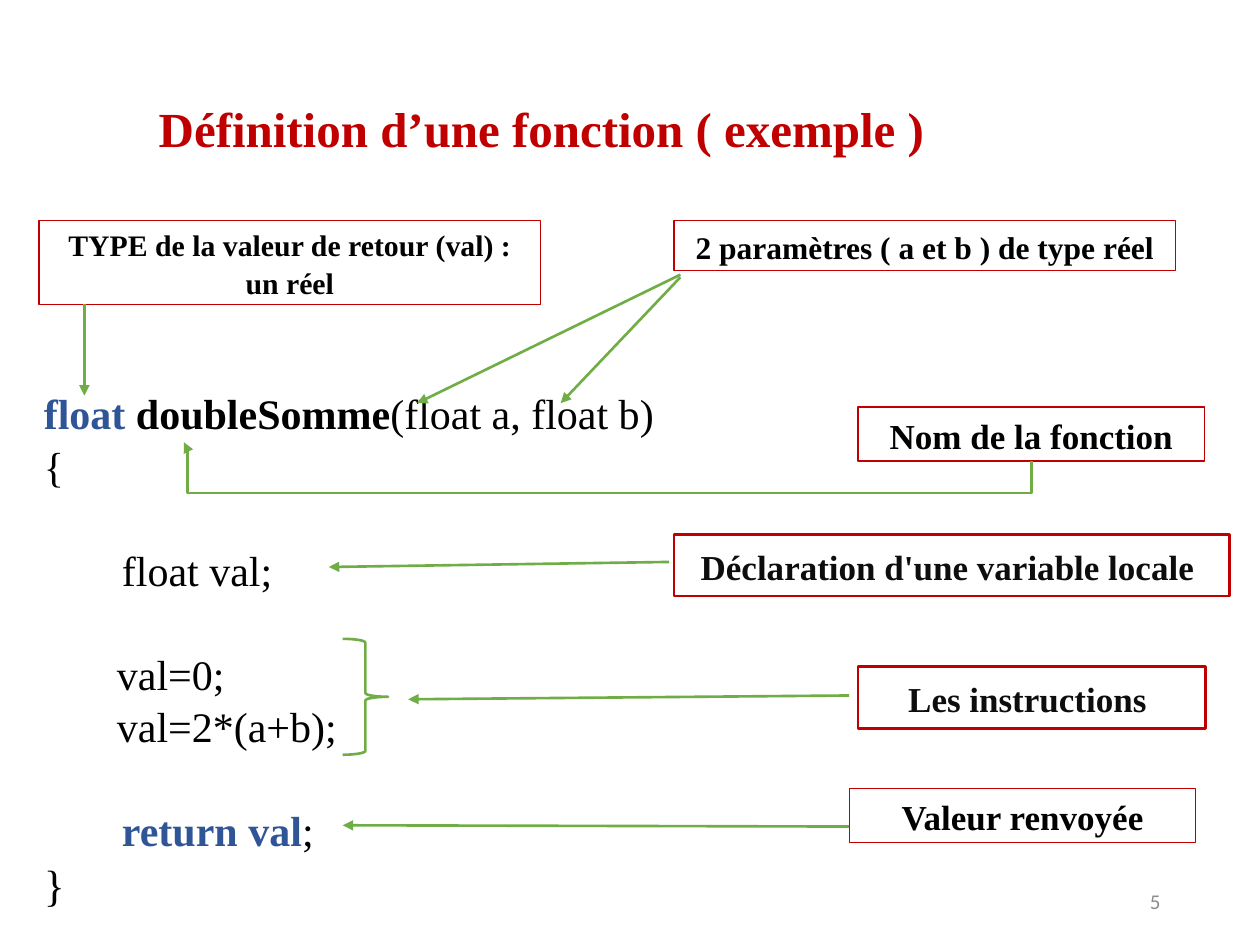
from lxml import etree
from pptx import Presentation
from pptx import util as u
from pptx.dml.color import RGBColor
from pptx.enum import shapes, text
from pptx.oxml.ns import qn

RED, GREEN, BLUE = "C00000", "70AD47", "2F5597"
BLACK, INK, GREY, WHITE = "000000", "0D0D0D", "8C8C8C", "FFFFFF"
SERIF = "Times New Roman"
LINE_SPACING = 1.05
BLANK_LINE = 29  # points, one empty code line

TITLE = "Définition d’une fonction ( exemple )"

# Code lines: indent (inches), space before (points), size, runs (text, colour, bold)
CODE = [
    (0, 0, 24, [("float ", BLUE, True), ("doubleSomme", BLACK, True),
                ("(float a, float b)", BLACK, False)]),
    (0, 0, 24, [("{", BLACK, False)]),
    (0.62, BLANK_LINE, 24, [("float val;", BLACK, False)]),
    (0.58, BLANK_LINE, 24, [("val=0;", BLACK, False)]),
    (0.58, 0, 24, [("val=2*(a+b);", BLACK, False)]),
    (0.62, BLANK_LINE, 24, [("return val", BLUE, True), (";", BLACK, False)]),
    (0, 0, 25, [("}", BLACK, False)]),
]

# Labels: text, (left, top, width, height), size, colour, border width
LABELS = [
    ("TYPE de la valeur de retour (val) : un réel", (0.31, 1.75, 3.98, 0.67), 17, BLACK, 0.75),
    ("2 paramètres ( a et b ) de type réel", (5.35, 1.75, 3.98, 0.4), 18, BLACK, 0.75),
    ("Nom de la fonction", (6.81, 3.23, 2.75, 0.43), 20, BLACK, 0.75),
    ("Déclaration d'une variable locale ", (5.35, 4.24, 4.41, 0.49), 20, INK, 1.5),
    ("Les instructions ", (6.81, 5.29, 2.76, 0.49), 20, INK, 1.5),
    ("Valeur renvoyée", (6.74, 6.26, 2.75, 0.43), 20, BLACK, 0.75),
]

# Straight arrows: from, to
ARROWS = [
    ((0.67, 2.41), (0.67, 3.14)),
    ((5.4, 2.18), (3.31, 3.2)),
    ((5.4, 2.2), (4.45, 3.2)),
    ((5.31, 4.46), (2.61, 4.5)),
    ((6.74, 5.52), (3.24, 5.55)),
    ((6.74, 6.56), (2.72, 6.55)),
]


def rgb(value):
    return RGBColor.from_string(value)


def inches(values):
    return [u.Inches(v) for v in values]


def place(sp, box):
    sp.left, sp.top, sp.width, sp.height = inches(box)


def add_run(p, words, size, colour, bold=False, font=SERIF):
    r = p.add_run()
    r.text = words
    r.font.size, r.font.name, r.font.bold = u.Pt(size), font, bold
    r.font.color.rgb = rgb(colour)


def prepare(tf, anchor=text.MSO_ANCHOR.TOP):
    tf.word_wrap = True
    tf.auto_size = text.MSO_AUTO_SIZE.NONE
    tf.vertical_anchor = anchor
    p = tf.paragraphs[0]
    p.line_spacing = LINE_SPACING
    return p


def style_line(sp, colour, width):
    sp.line.color.rgb = rgb(colour)
    sp.line.width = u.Pt(width)


def add_arrow(s, kind, start, end):
    c = s.shapes.add_connector(kind, *inches(start + end))
    style_line(c, GREEN, 1.5)
    etree.SubElement(c.line._get_or_add_ln(), qn("a:tailEnd"), type="triangle")
    etree.SubElement(c._element.spPr, qn("a:effectLst"))
    return c


def add_label(s, words, box, size, colour, border):
    sp = s.shapes.add_shape(shapes.MSO_SHAPE.RECTANGLE, *inches(box))
    sp.shadow.inherit = False
    sp.fill.solid()
    sp.fill.fore_color.rgb = rgb(WHITE)
    style_line(sp, RED, border)
    p = prepare(sp.text_frame, text.MSO_ANCHOR.MIDDLE)
    p.alignment = text.PP_ALIGN.CENTER
    add_run(p, words, size, colour, True)
    return sp


def add_code(s):
    tf = s.shapes.add_textbox(*inches((0.25, 3.01, 9.5, 4.15))).text_frame
    p = prepare(tf)
    for i, (indent, before, size, runs) in enumerate(CODE):
        if i:
            p = tf.add_paragraph()
            p.line_spacing = LINE_SPACING
        p.space_before = u.Pt(before)
        p._p.get_or_add_pPr().set("marL", str(u.Inches(indent)))
        for words, colour, bold in runs:
            add_run(p, words, size, colour, bold)


def add_name_arrow(s, label):
    """Elbow from under the name label, round to the function name."""
    c = add_arrow(s, shapes.MSO_CONNECTOR.ELBOW, (8.19, 3.66), (1.46, 3.51))
    c.begin_connect(label, 2)
    # Four-part elbow: drawn upright, then turned a quarter and mirrored
    place(c, (4.75, 0.22, 0.15, 6.73))
    xfrm = c._element.spPr.find(qn("a:xfrm"))
    xfrm.attrib.pop("flipV", None)
    xfrm.set("rot", "5400000")
    xfrm.set("flipH", "1")
    geom = c._element.spPr.find(qn("a:prstGeom"))
    geom.set("prst", "bentConnector4")
    guides = geom.find(qn("a:avLst"))
    for name, value in (("adj1", -169200), ("adj2", 99600)):
        etree.SubElement(guides, qn("a:gd"), name=name, fmla=f"val {value}")


def main():
    prs = Presentation()
    prs.slide_width, prs.slide_height = u.Inches(10), u.Inches(7.5)
    s = prs.slides.add_slide(prs.slide_layouts[5])

    # Title
    title = s.shapes.title
    place(title, (1.16, 0.71, 6.83, 1.04))
    p = prepare(title.text_frame)
    p.alignment = text.PP_ALIGN.LEFT
    add_run(p, TITLE, 28, RED, True)

    # Code and its labels
    add_code(s)
    labels = {row[0]: add_label(s, *row) for row in LABELS}

    # Brace around the instructions
    brace = s.shapes.add_shape(shapes.MSO_SHAPE.RIGHT_BRACE, *inches((2.72, 5.07, 0.36, 0.92)))
    brace.shadow.inherit = False
    brace.fill.background()
    style_line(brace, GREEN, 1.5)

    # Arrows
    for start, end in ARROWS:
        add_arrow(s, shapes.MSO_CONNECTOR.STRAIGHT, start, end)
    add_name_arrow(s, labels["Nom de la fonction"])

    # Page number
    number = s.shapes.add_textbox(*inches((7.06, 6.95, 2.25, 0.4)))
    p = prepare(number.text_frame, text.MSO_ANCHOR.MIDDLE)
    p.alignment = text.PP_ALIGN.RIGHT
    add_run(p, "5", 12, GREY, font="Calibri")

    prs.save("out.pptx")


if __name__ == "__main__":
    main()
